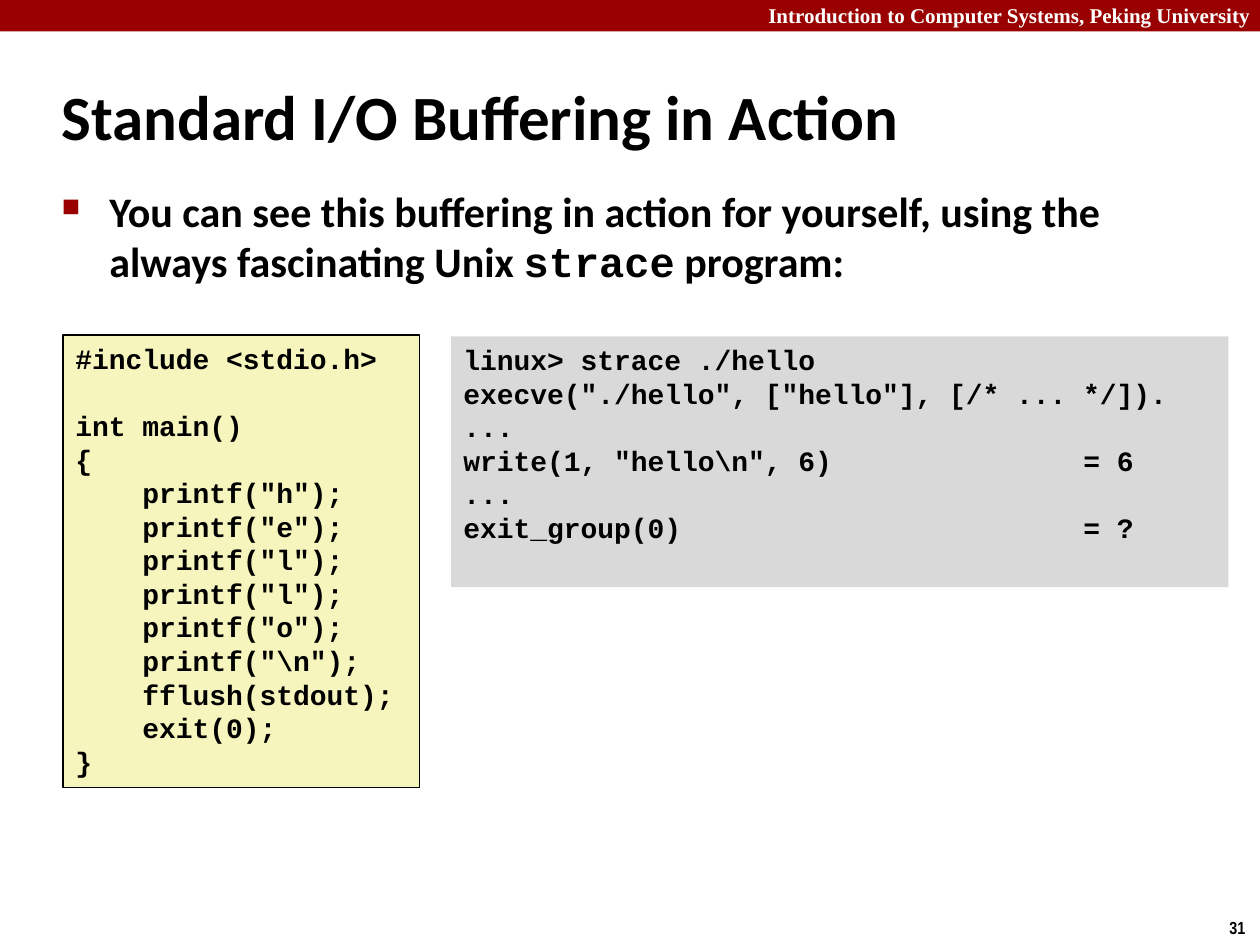
from dataclasses import dataclass

from lxml.etree import SubElement
from pptx import Presentation
from pptx.dml.color import RGBColor
from pptx.enum.shapes import MSO_SHAPE
from pptx.enum.text import MSO_ANCHOR, PP_ALIGN
from pptx.oxml.ns import qn
from pptx.util import Inches, Pt

BLACK, WHITE, RED = "000000", "FFFFFF", "990000"
CODE_FONT, TEXT_FONT = "Courier New", "Calibri"
CODE_SIZE, CODE_PITCH = 16, 19.2
RESULT_TAB = 4.92


@dataclass
class Box:
    left: float
    top: float
    width: float
    height: float


@dataclass
class CodePanel:
    box: Box
    fill: str
    line: str | None
    blocks: list[str]


PROGRAM = r"""int main()
{
    printf("h");
    printf("e");
    printf("l");
    printf("l");
    printf("o");
    printf("\n");
    fflush(stdout);
    exit(0);
}"""

TRACE = "\n".join([
    "linux> strace ./hello",
    'execve("./hello", ["hello"], [/* ... */]).',
    "...",
    'write(1, "hello\\n", 6)\t= 6',
    "...",
    "exit_group(0)\t= ?",
])

PANELS = [
    CodePanel(Box(3.58, 2.67, 6.17, 1.99), "D9D9D9", None, [TRACE]),
    CodePanel(Box(0.5, 2.66, 2.83, 3.59), "F6F5BD", BLACK, ["#include <stdio.h>", PROGRAM]),
]


def colour(value: str) -> RGBColor:
    return RGBColor.from_string(value)


def add_run(paragraph, text: str, *, size: float, font: str = TEXT_FONT, color: str = BLACK):
    run = paragraph.add_run()
    run.text = text
    run.font.size = Pt(size)
    run.font.name = font
    run.font.bold = True
    run.font.color.rgb = colour(color)


def add_rectangle(slide, box: Box, fill: str, line: str | None = None):
    shape = slide.shapes.add_shape(
        MSO_SHAPE.RECTANGLE, Inches(box.left), Inches(box.top), Inches(box.width), Inches(box.height))
    shape.shadow.inherit = False
    shape.fill.solid()
    shape.fill.fore_color.rgb = colour(fill)
    if line:
        shape.line.color.rgb = colour(line)
        shape.line.width = Pt(1)
    else:
        shape.line.fill.background()
    return shape


def add_text_box(slide, box: Box, *, wrap: bool = True, anchor=MSO_ANCHOR.TOP):
    shape = slide.shapes.add_textbox(
        Inches(box.left), Inches(box.top), Inches(box.width), Inches(box.height))
    shape.text_frame.word_wrap = wrap
    shape.text_frame.vertical_anchor = anchor
    return shape.text_frame.paragraphs[0]


def set_hanging_indent(paragraph, indent: float):
    properties = paragraph._p.get_or_add_pPr()
    properties.set("marL", str(Inches(indent)))
    properties.set("indent", str(-Inches(indent)))
    return properties


def add_square_bullet(paragraph, indent: float):
    properties = set_hanging_indent(paragraph, indent)
    bullet_color = SubElement(properties, qn("a:buClr"))
    SubElement(bullet_color, qn("a:srgbClr"), val=RED)
    SubElement(properties, qn("a:buSzPct"), val="60000")
    SubElement(properties, qn("a:buChar"), char="■")


def add_code_panel(slide, panel: CodePanel):
    frame = add_rectangle(slide, panel.box, panel.fill, panel.line).text_frame
    frame.word_wrap = True
    frame.vertical_anchor = MSO_ANCHOR.TOP
    paragraph = None
    for block in panel.blocks:
        for index, line in enumerate(block.split("\n")):
            is_first = paragraph is None
            paragraph = frame.paragraphs[0] if is_first else frame.add_paragraph()
            paragraph.alignment = PP_ALIGN.LEFT
            paragraph.line_spacing = Pt(CODE_PITCH)
            if index == 0 and not is_first:
                paragraph.space_before = Pt(CODE_PITCH)
            if "\t" in line:
                tabs = SubElement(paragraph._p.get_or_add_pPr(), qn("a:tabLst"))
                SubElement(tabs, qn("a:tab"), pos=str(Inches(RESULT_TAB)), algn="l")
            add_run(paragraph, line, size=CODE_SIZE, font=CODE_FONT)


def main():
    presentation = Presentation()
    presentation.slide_width = Inches(10)
    presentation.slide_height = Inches(7.5)
    slide = presentation.slides.add_slide(presentation.slide_layouts[6])

    add_rectangle(slide, Box(0, 0, 10, 0.25), RED)
    header = add_text_box(slide, Box(6, -0.03, 4.07, 0.3))
    add_run(header, "Introduction to Computer Systems, Peking University",
            size=12, font="Times New Roman", color=WHITE)
    number = add_text_box(slide, Box(9.66, 7.23, 0.34, 0.27), wrap=False)
    add_run(number, "31", size=10, font="Arial Narrow")

    title = add_text_box(slide, Box(0.39, 0.5, 8.3, 0.83), anchor=MSO_ANCHOR.MIDDLE)
    set_hanging_indent(title, 0.13)
    add_run(title, "Standard I/O Buffering in Action", size=36)

    body = add_text_box(slide, Box(0.39, 1.42, 8.64, 5.44))
    add_square_bullet(body, 0.38)
    add_run(body, "You can see this buffering in action for yourself, using the always fascinating Unix ", size=24)
    add_run(body, "strace", size=24, font=CODE_FONT)
    add_run(body, " program:", size=24)

    for panel in PANELS:
        add_code_panel(slide, panel)

    presentation.save("out.pptx")


if __name__ == "__main__":
    main()
